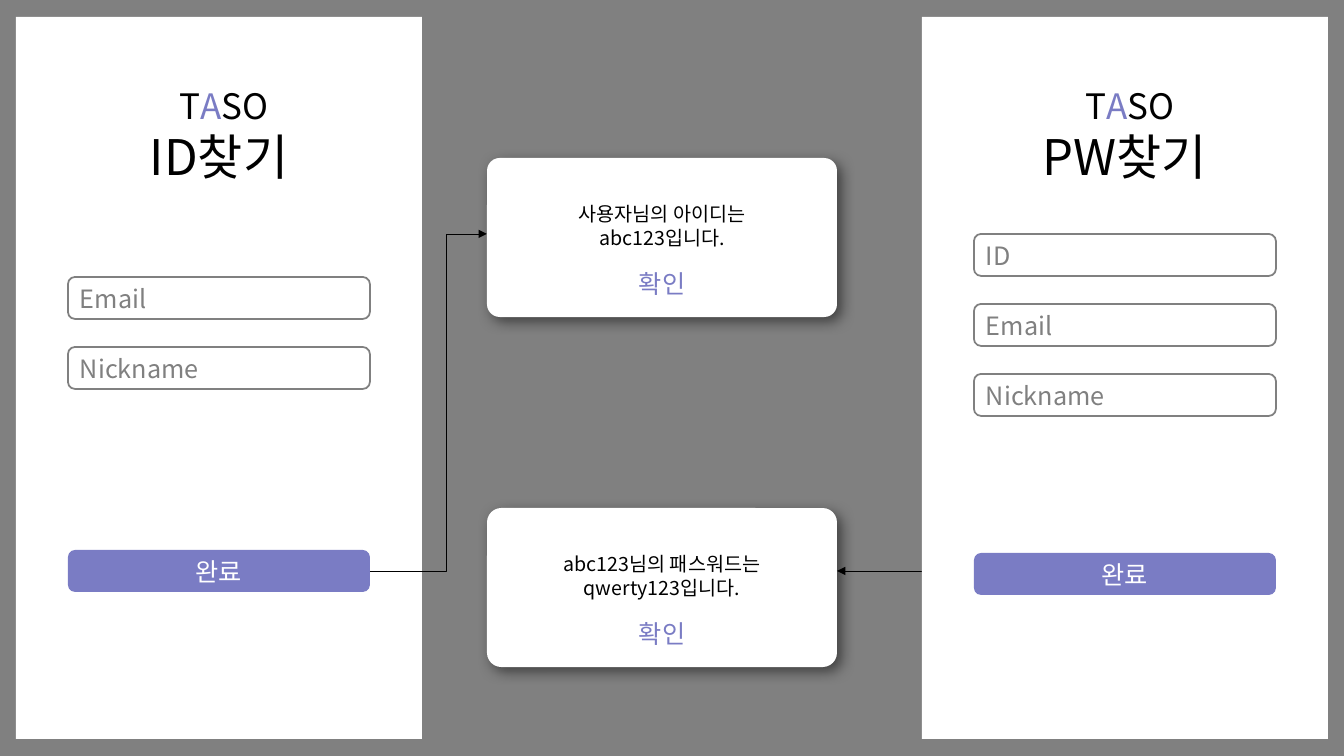
from lxml.etree import SubElement
from pptx import Presentation
from pptx.dml.color import RGBColor as Rgb
from pptx.enum.shapes import MSO_CONNECTOR as Link, MSO_SHAPE as Kind
from pptx.enum.text import MSO_ANCHOR as Anchor, PP_ALIGN as Align
from pptx.oxml.ns import qn
from pptx.util import Pt

SCALE = 914400 / 100.8
COLORS = {"black": "000000", "white": "FFFFFF", "gray": "808080", "violet": "7A7CC4"}
FONT = "Noto Sans CJK KR"


def px(n):
    return round(n * SCALE)


def tint(name):
    return Rgb.from_string(COLORS[name])


class Board:
    def __init__(self, slide):
        self.slide = slide
        back = slide.background.fill
        back.solid()
        back.fore_color.rgb = tint("gray")

    def box(self, kind, x, y, w, h, fill="white", line=None, curve=None):
        shape = self.slide.shapes.add_shape(kind, px(x), px(y), px(w), px(h))
        shape.shadow.inherit = False
        shape.fill.solid()
        shape.fill.fore_color.rgb = tint(fill)
        if line:
            shape.line.color.rgb = tint(line)
            shape.line.width = Pt(1.25)
        else:
            shape.line.fill.background()
        if curve:
            shape.adjustments[0] = curve
        return shape

    def letter(self, shape, lines, size, color="black", align=Align.CENTER, low=0, lead=None):
        """Fill a shape with lines; each line is a string or a list of (text, color)."""
        frame = shape.text_frame
        frame.word_wrap = True
        frame.vertical_anchor = Anchor.MIDDLE
        frame.margin_top, frame.margin_bottom = 0, px(low)
        for i, line in enumerate(lines):
            para = frame.paragraphs[0] if i == 0 else frame.add_paragraph()
            para.alignment = align
            if lead:
                para.line_spacing = Pt(lead)
            font = para.font
            font.size, font.name = Pt(size), FONT
            font.color.rgb = tint(color)
            SubElement(para._p.pPr.find(qn("a:defRPr")), qn("a:ea"), typeface=FONT)
            for text, hue in [(line, None)] if isinstance(line, str) else line:
                run = para.add_run()
                run.text = text
                if hue:
                    run.font.color.rgb = tint(hue)

    def label(self, x, y, w, h, line, size, color="black"):
        text = self.slide.shapes.add_textbox(px(x), px(y), px(w), px(h))
        self.letter(text, [line], size, color)

    def field(self, x, y, hint):
        shape = self.box(Kind.ROUNDED_RECTANGLE, x, y, 302, 42, line="gray", curve=0.17)
        self.letter(shape, [hint], 18, "gray", Align.LEFT)

    def button(self, x, y, text):
        shape = self.box(Kind.ROUNDED_RECTANGLE, x, y, 302, 42, "violet", curve=0.17)
        self.letter(shape, [text], 18, "white")
        return shape

    def screen(self, x, title, hints, top, done):
        """Draw a phone screen and return its button."""
        self.box(Kind.RECTANGLE, x, 17, 406, 722)
        self.label(x + 103, 121, 200, 70, title, 35)
        self.label(x + 151, 81, 114, 49, [("T", None), ("A", "violet"), ("SO", None)], 25)
        for i, hint in enumerate(hints):
            self.field(x + 52, top + 70 * i, hint)
        return self.button(x + 52, done, "완료")

    def card(self, y, lines, curve):
        shape = self.box(Kind.ROUNDED_RECTANGLE, 487, y, 350, 159, curve=curve)
        effect = shape._element.spPr.find(qn("a:effectLst"))
        shade = SubElement(effect, qn("a:outerShdw"), blurRad=str(Pt(10)), dist=str(Pt(5)),
                           dir="2700000", algn="tl", rotWithShape="0")
        hue = SubElement(shade, qn("a:srgbClr"), val=COLORS["black"])
        SubElement(hue, qn("a:alpha"), val="50000")
        self.letter(shape, lines, 14, low=24, lead=17)
        self.label(487, y + 104, 350, 42, "확인", 18, "violet")

    def arrow(self, kind, x1, y1, x2, y2, bend=None):
        link = self.slide.shapes.add_connector(kind, px(x1), px(y1), px(x2), px(y2))
        link.line.color.rgb = tint("black")
        link.line.width = Pt(0.5)
        props = link._element.spPr
        SubElement(props.find(qn("a:ln")), qn("a:tailEnd"), type="triangle")
        SubElement(props, qn("a:effectLst"))
        if bend:
            guides = props.find(qn("a:prstGeom")).find(qn("a:avLst"))
            SubElement(guides, qn("a:gd"), name="adj1", fmla=f"val {round(bend * 100000)}")
        return link


def main():
    deck = Presentation()
    deck.slide_width, deck.slide_height = px(1344), px(756)
    board = Board(deck.slides.add_slide(deck.slide_layouts[6]))
    done = board.screen(16, "ID찾기", ["Email", "Nickname"], 277, 550)
    board.card(508, ["abc123님의 패스워드는", "qwerty123입니다."], 0.09)
    board.arrow(Link.STRAIGHT, 974, 571, 837, 571)
    bent = board.arrow(Link.ELBOW, 370, 571, 487, 234, bend=0.65)
    bent.begin_connect(done, 3)
    board.card(158, ["사용자님의 아이디는", "abc123입니다."], 0.08)
    board.screen(922, "PW찾기", ["ID", "Email", "Nickname"], 234, 553)
    deck.save("out.pptx")


if __name__ == "__main__":
    main()
